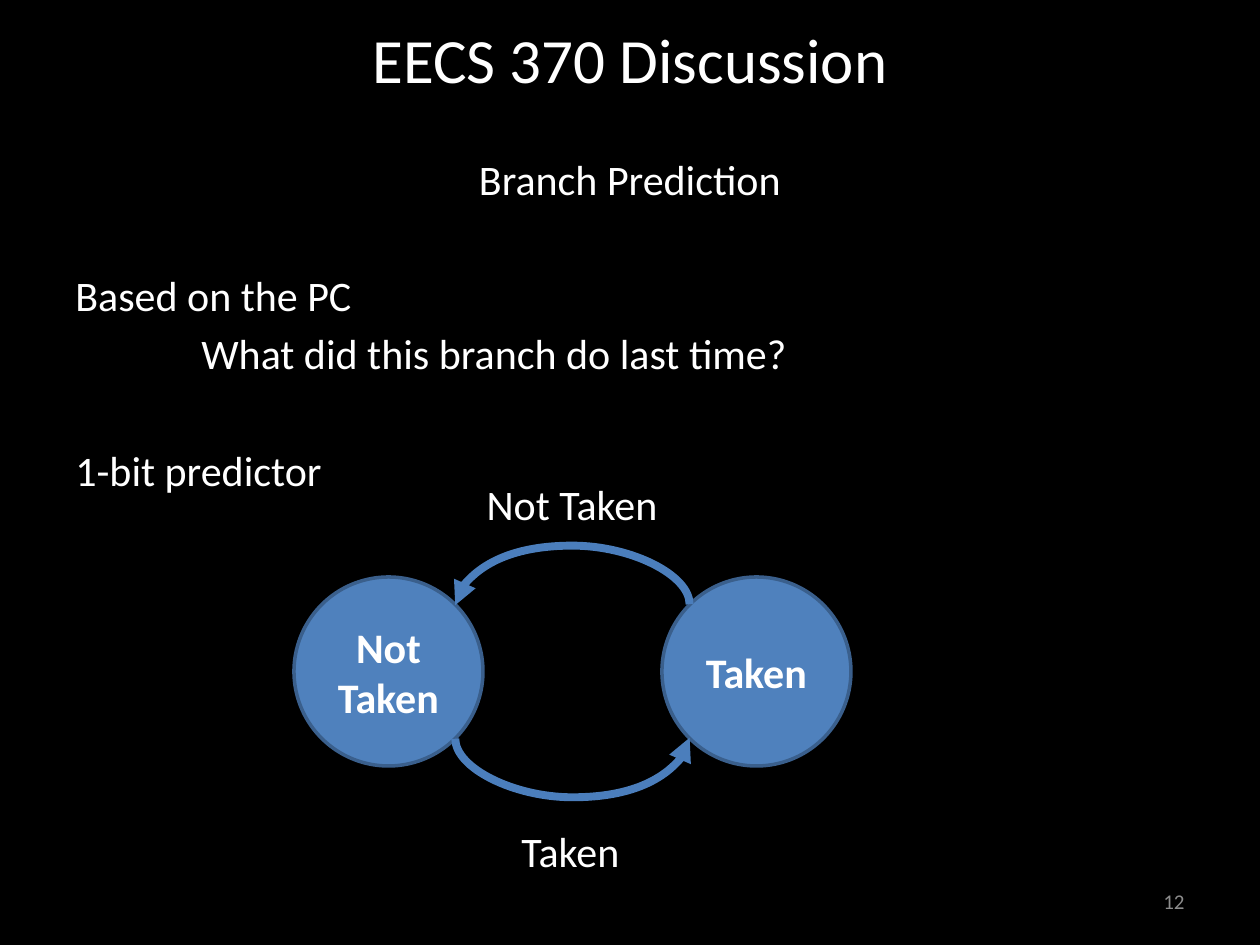
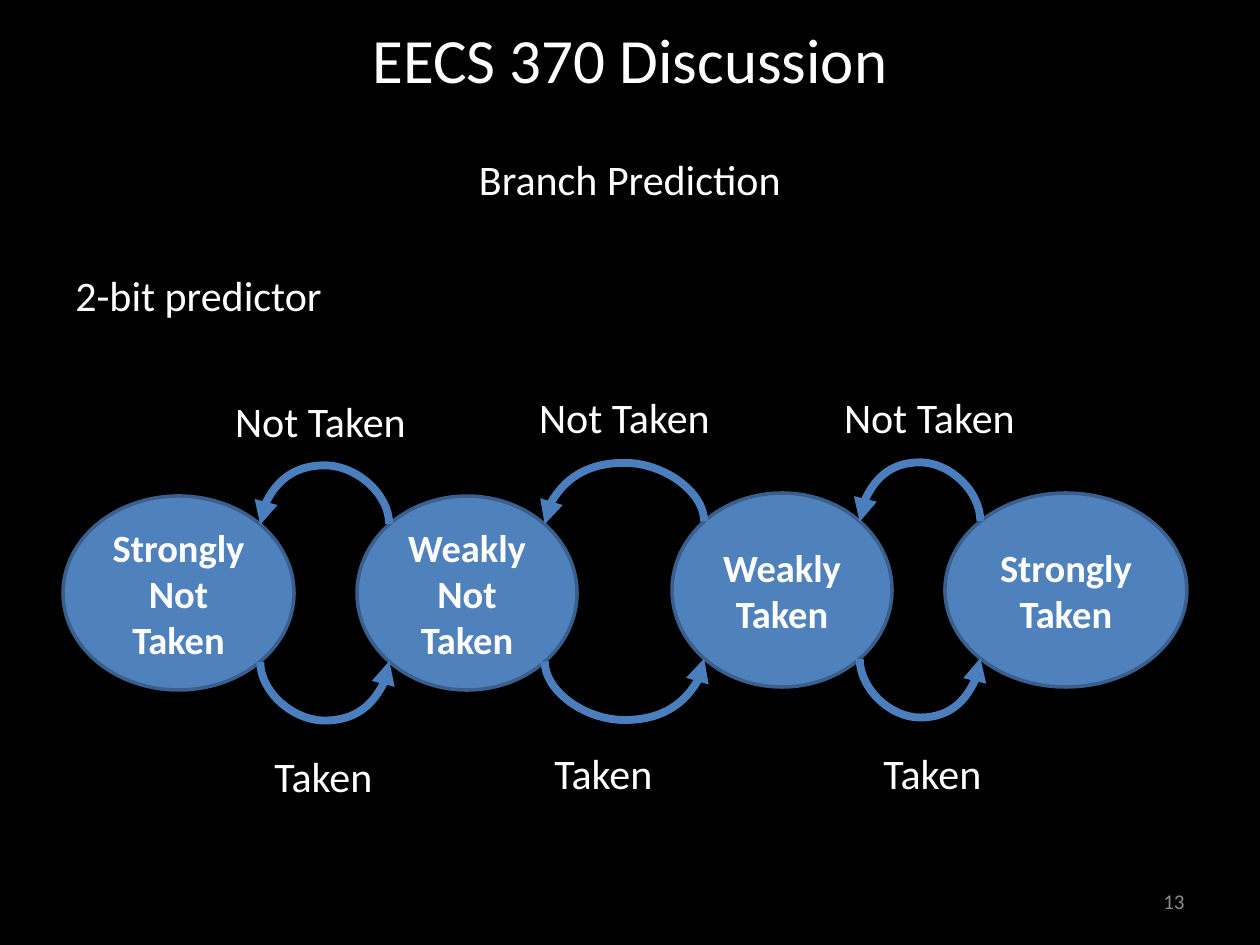
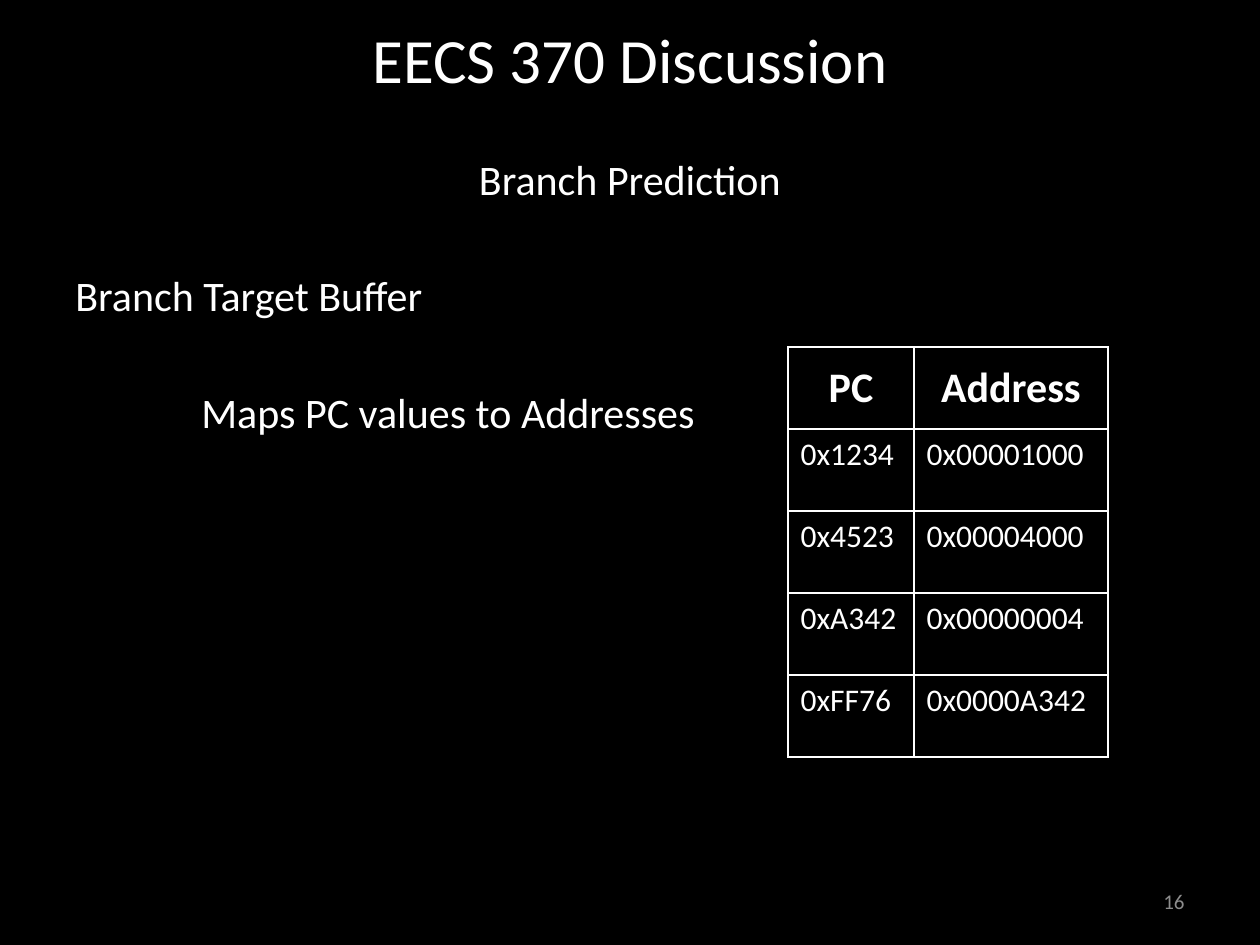
from pptx import Presentation
from pptx.dml.color import RGBColor
from pptx.enum.shapes import MSO_CONNECTOR as Link, MSO_SHAPE as Geo
from pptx.enum.text import MSO_ANCHOR as Anchor, PP_ALIGN as Align
from pptx.oxml import parse_xml
from pptx.oxml.ns import nsdecls, qn
from pptx.util import Emu, Pt

BLACK = RGBColor(0x00, 0x00, 0x00)
WHITE = RGBColor(0xFF, 0xFF, 0xFF)
GRAY = RGBColor(0x8C, 0x8C, 0x8C)
BLUE = RGBColor(0x4F, 0x81, 0xBD)
EDGE = RGBColor(0x3A, 0x5F, 0x8C)
ARROW = RGBColor(0x4B, 0x7E, 0xBC)
FONT = "Calibri"
NEAR, FAR = 4.3, 37.9
BULGE = 59


def px(*nums):
    return [Emu(round(n * 914400 / 126)) for n in nums]


def write(frame, rows, size=24, color=WHITE, bold=False, align=Align.LEFT, anchor=Anchor.TOP):
    frame.word_wrap = True
    frame.vertical_anchor = anchor
    for i, (text, form) in enumerate(rows):
        para = frame.add_paragraph() if i else frame.paragraphs[0]
        for key, val in {"alignment": align, **form}.items():
            if key == "indent":
                para._p.get_or_add_pPr().set("marL", str(px(val)[0]))
            else:
                setattr(para, key, val)
        run = para.add_run()
        run.text = text
        for key, val in {"name": FONT, "size": Pt(size), "bold": bold}.items():
            setattr(run.font, key, val)
        run.font.color.rgb = color


near = {"space_before": Pt(NEAR)}
far = {"space_before": Pt(FAR)}
mid = {"alignment": Align.CENTER, **near}
tab = {"indent": 126}

pages = [
    {
        "num": "12",
        "body": [
            ("Based on the PC", far),
            ("What did this branch do last time?", {**near, **tab}),
            ("1-bit predictor", far),
        ],
        "size": 24,
        "nodes": [
            (294, 577, 189, 189, ["Not Taken"]),
            (662, 577, 189, 189, ["Taken"]),
        ],
        "tags": [("Taken", 509, 819, 142, near), ("Not Taken", 455, 472, 234, mid)],
    },
    {
        "num": "13",
        "body": [("2-bit predictor", far)],
        "size": 22,
        "nodes": [
            (63, 496, 231, 194, ["Strongly", "Not Taken"]),
            (357, 496, 220, 194, ["Weakly Not Taken"]),
            (672, 493, 220, 194, ["Weakly Taken"]),
            (945, 493, 242, 194, ["Strongly Taken"]),
        ],
        "tags": [
            ("Taken", 262, 744, 147, near),
            ("Not Taken", 212, 389, 217, mid),
            ("Taken", 542, 741, 166, near),
            ("Not Taken", 516, 385, 217, mid),
            ("Taken", 871, 741, 166, near),
            ("Not Taken", 821, 385, 217, mid),
        ],
    },
    {
        "num": "16",
        "body": [
            ("Branch Target Buffer", far),
            ("Maps PC values to Addresses", {**far, **tab}),
        ],
        "size": 24,
        "nodes": [],
        "tags": [],
    },
]

deck = Presentation()
deck.slide_width, deck.slide_height = px(1260, 945)

for page in pages:
    slide = deck.slides.add_slide(deck.slide_layouts[6])
    slide.background.fill.solid()
    slide.background.fill.fore_color.rgb = BLACK
    shapes = slide.shapes

    title = shapes.add_textbox(*px(63, -21, 1134, 158)).text_frame
    write(title, [("EECS 370 Discussion", {})], 36, align=Align.CENTER, anchor=Anchor.MIDDLE)
    body = shapes.add_textbox(*px(63, 147, 1134, 746)).text_frame
    write(body, [("Branch Prediction", mid)] + page["body"])
    foot = shapes.add_textbox(*px(903, 876, 294, 50)).text_frame
    write(foot, [(page["num"], {})], 12, GRAY, align=Align.RIGHT, anchor=Anchor.MIDDLE)

    nodes = page["nodes"]
    for x, y, w, h, lines in nodes:
        node = shapes.add_shape(Geo.OVAL, *px(x, y, w, h))
        node.shadow.inherit = False
        node.fill.solid()
        node.fill.fore_color.rgb = BLUE
        node.line.color.rgb = EDGE
        node.line.width = Pt(2)
        rows = [(line, {}) for line in lines]
        write(node.text_frame, rows, page["size"], bold=True, align=Align.CENTER, anchor=Anchor.MIDDLE)

    inset = (1 - 0.5 ** 0.5) / 2
    for (lx, ly, lw, lh, _), (rx, ry, rw, rh, _) in zip(nodes, nodes[1:]):
        left = lx + lw * (1 - inset)
        right = rx + rw * inset
        top = (ly + lh * inset + ry + rh * inset) / 2
        base = (ly + lh * (1 - inset) + ry + rh * (1 - inset)) / 2
        cx, span, thick = (left + right) / 2, right - left, max(1, abs(ly - ry))
        for cy, turn in ((top, 270), (base, 90)):
            ends = px(cx + thick / 2, cy + span / 2, cx - thick / 2, cy - span / 2)
            arc = shapes.add_connector(Link.CURVE, *ends)
            arc.line.color.rgb = ARROW
            arc.line.width = Pt(4.5)
            prop = arc._element.spPr
            prop.find(qn("a:xfrm")).set("rot", str(turn * 60000))
            geom = prop.find(qn("a:prstGeom"))
            for old in list(geom):
                geom.remove(old)
            bend = round(-BULGE / thick * 100000)
            geom.append(parse_xml(
                f'<a:avLst {nsdecls("a")}><a:gd name="adj1" fmla="val {bend}"/></a:avLst>'))
            prop.find(qn("a:ln")).append(parse_xml(f'<a:tailEnd {nsdecls("a")} type="triangle"/>'))
            prop.append(parse_xml(f'<a:effectLst {nsdecls("a")}/>'))

    for text, x, y, w, form in page["tags"]:
        write(shapes.add_textbox(*px(x, y, w, 64)).text_frame, [(text, form)])

cells = [
    ("PC", "Address"),
    ("0x1234", "0x00001000"),
    ("0x4523", "0x00004000"),
    ("0xA342", "0x00000004"),
    ("0xFF76", "0x0000A342"),
]
grid = shapes.add_table(len(cells), 2, *px(788, 347, 320, 410)).table
grid.first_row = grid.horz_banding = False
for col, wide in zip(grid.columns, px(126, 194)):
    col.width = wide
for r, line in enumerate(cells):
    grid.rows[r].height = px(82)[0]
    for c, text in enumerate(line):
        cell = grid.cell(r, c)
        if r:
            write(cell.text_frame, [(text, {})], 18)
        else:
            write(cell.text_frame, [(text, {})], bold=True, align=Align.CENTER)
            cell.vertical_anchor = Anchor.MIDDLE
        prop = cell._tc.get_or_add_tcPr()
        for side in ("lnL", "lnR", "lnT", "lnB"):
            prop.append(parse_xml(
                f'<a:{side} {nsdecls("a")} w="12700"><a:solidFill>'
                f'<a:srgbClr val="{WHITE}"/></a:solidFill></a:{side}>'))
        cell.fill.background()

deck.save("out.pptx")
